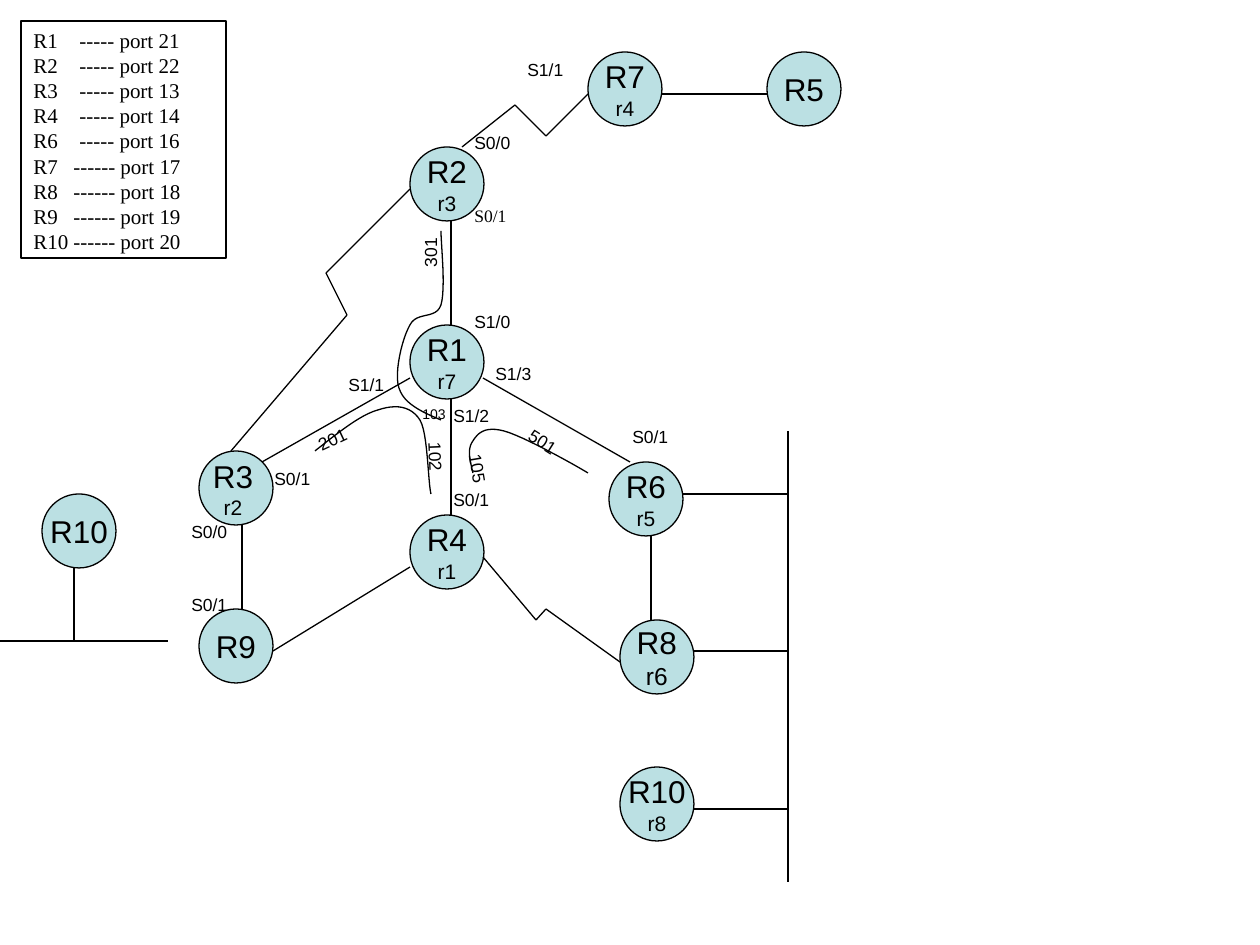
from itertools import pairwise
from lxml.etree import SubElement
from pptx import Presentation
from pptx.dml.color import RGBColor
from pptx.enum.shapes import MSO_CONNECTOR, MSO_SHAPE
from pptx.enum.text import MSO_ANCHOR, PP_ALIGN
from pptx.oxml.ns import qn
from pptx.util import Emu, Pt


def px(value):
    return Emu(round(value * 914400 / 126))


def color(value):
    return RGBColor.from_string(value)


class Diagram:
    ink = "000000"
    node_fill = "BBE0E3"
    paper = "FFFFFF"
    line_width = Pt(0.74)
    node_size = 74

    def __init__(self, page):
        self.page = page

    def outline(self, shape, fill=None):
        shape.shadow.inherit = False
        shape.line.color.rgb = color(self.ink)
        shape.line.width = self.line_width
        if fill:
            shape.fill.solid()
            shape.fill.fore_color.rgb = color(fill)
        else:
            shape.fill.background()

    def add_lines(self, box, lines, align=PP_ALIGN.LEFT, font="Arial", before=0):
        frame = box.text_frame
        frame.margin_left = frame.margin_right = Pt(7.2)
        frame.margin_top = frame.margin_bottom = Pt(3.6)
        for index, (text, size) in enumerate(lines):
            para = frame.paragraphs[0] if index == 0 else frame.add_paragraph()
            para.alignment = align
            para.space_before = Pt(before)
            span = para.add_run()
            span.text = text
            span.font.size = Pt(size)
            span.font.name = font
            span.font.color.rgb = color(self.ink)

    def node(self, x, y, *lines):
        size = px(self.node_size)
        circle = self.page.shapes.add_shape(MSO_SHAPE.OVAL, px(x), px(y), size, size)
        self.outline(circle, self.node_fill)
        circle.text_frame.word_wrap = False
        circle.text_frame.vertical_anchor = MSO_ANCHOR.MIDDLE
        self.add_lines(circle, lines, PP_ALIGN.CENTER)

    def caption(self, x, y, w, h, *lines):
        box = self.page.shapes.add_textbox(px(x), px(y), px(w), px(h))
        box.text_frame.word_wrap = False
        self.add_lines(box, lines, PP_ALIGN.CENTER)

    def label(self, text, x, y, w, angle=0, size=10, font="Arial"):
        box = self.page.shapes.add_textbox(px(x), px(y), px(w), px(34))
        box.rotation = angle
        box.text_frame.word_wrap = True
        self.add_lines(box, [(text, size)], font=font, before=size * 0.62)

    def legend(self, x, y, w, h, ports):
        box = self.page.shapes.add_shape(MSO_SHAPE.RECTANGLE, px(x), px(y), px(w), px(h))
        self.outline(box, self.paper)
        box.text_frame.word_wrap = True
        box.text_frame.vertical_anchor = MSO_ANCHOR.TOP
        lines = [(f"{router}\t{'-' * dashes} port {port}", 12) for router, dashes, port in ports]
        self.add_lines(box, lines, font="Times New Roman")
        for para, (_, dashes, _) in zip(box.text_frame.paragraphs, ports):
            stops = SubElement(para._p.get_or_add_pPr(), qn("a:tabLst"))
            SubElement(stops, qn("a:tab"), pos=str(px(46 if dashes == 5 else 40)), algn="l")

    def link(self, *points):
        for start, end in pairwise(points):
            line = self.page.shapes.add_connector(
                MSO_CONNECTOR.STRAIGHT, *map(px, start + end))
            line.line.color.rgb = color(self.ink)
            line.line.width = self.line_width
            SubElement(line._element.spPr, qn("a:effectLst"))

    def curve(self, points, steps=12):
        track = []
        for first in range(0, len(points) - 1, 3):
            a, b, c, d = points[first:first + 4]
            for step in range(1, steps + 1):
                t = step / steps
                u = 1 - t
                track.append(tuple(
                    px(u**3 * p + 3 * u * u * t * q + 3 * u * t * t * r + t**3 * s)
                    for p, q, r, s in zip(a, b, c, d)))
        builder = self.page.shapes.build_freeform(*map(px, points[0]))
        builder.add_line_segments(track, close=False)
        self.outline(builder.convert_to_shape())


deck = Presentation()
deck.slide_width, deck.slide_height = px(1260), px(945)
diagram = Diagram(deck.slides.add_slide(deck.slide_layouts[6]))

routers = [
    (410, 325, "R1", "r7", 12), (199, 609, "R9", None, 0),
    (767, 52, "R5", None, 0), (410, 147, "R2", "r3", 12),
    (588, 52, "R7", "r4", 12), (620, 620, "R8", "r6", 14),
    (609, 462, "R6", "r5", 12), (410, 515, "R4", "r1", 12),
    (620, 767, "R10", "r8", 12), (42, 494, "R10", None, 0),
]
for x, y, name, host, size in routers:
    diagram.node(x, y, (name, 18), *([(host, size)] if host else []))
diagram.node(199, 451)
diagram.caption(200, 451, 66, 76, ("R3", 18), ("r2", 12))

links = [
    [(451, 221), (451, 325)], [(410, 378), (262, 462)],
    [(483, 378), (630, 462)], [(451, 399), (451, 515)],
    [(410, 567), (273, 651)], [(242, 525), (242, 609)],
    [(651, 536), (651, 620)], [(662, 94), (767, 94)],
    [(462, 147), (515, 105), (546, 136), (588, 94)],
    [(410, 189), (326, 273), (347, 315), (231, 451)],
    [(483, 557), (536, 620), (546, 609), (620, 662)],
    [(0, 641), (168, 641)], [(74, 567), (74, 641)],
    [(683, 494), (788, 494)], [(693, 651), (788, 651)],
    [(693, 809), (788, 809)], [(788, 431), (788, 882)],
]
for points in links:
    diagram.link(*points)

diagram.legend(21, 21, 205, 237, [
    ("R1", 5, 21), ("R2", 5, 22), ("R3", 5, 13), ("R4", 5, 14), ("R6", 5, 16),
    ("R7", 6, 17), ("R8", 6, 18), ("R9", 6, 19), ("R10", 6, 20),
])

circuits = [
    [(315, 451), (338, 433), (360, 415), (378, 410), (396, 404),
     (411, 406), (420, 420), (428, 433), (428, 481), (431, 494)],
    [(473, 473), (470, 460), (467, 449), (473, 441), (478, 433),
     (485, 426), (504, 431), (523, 436), (575, 465), (588, 473)],
    [(441, 420), (422, 412), (404, 404), (399, 388), (394, 373), (402, 339), (410, 325),
     (417, 311), (436, 320), (441, 305), (446, 289), (441, 243), (441, 231)],
]
for points in circuits:
    diagram.curve(points)

diagram.label("S0/1", 462, 199, 84, font="Times New Roman")
diagram.label("103", 410, 399, 53, size=8)
labels = [
    ("S1/0", 462, 305, 84), ("S1/3", 483, 357, 63), ("S1/1", 336, 368, 74),
    ("S1/2", 441, 399, 74), ("S0/1", 262, 462, 74), ("S0/0", 179, 515, 63),
    ("S0/1", 179, 588, 63), ("S0/1", 620, 420, 74), ("S0/0", 462, 126, 84),
    ("S0/1", 441, 483, 74), ("S1/1", 515, 53, 74), ("501", 514, 431, 77, 32.2),
    ("102", 399, 450, 74, 87.7), ("201", 305, 420, 63, 334.8),
    ("301", 399, 231, 63, 270), ("105", 447, 456, 63, 80.3),
]
for label in labels:
    diagram.label(*label)

deck.save("out.pptx")
